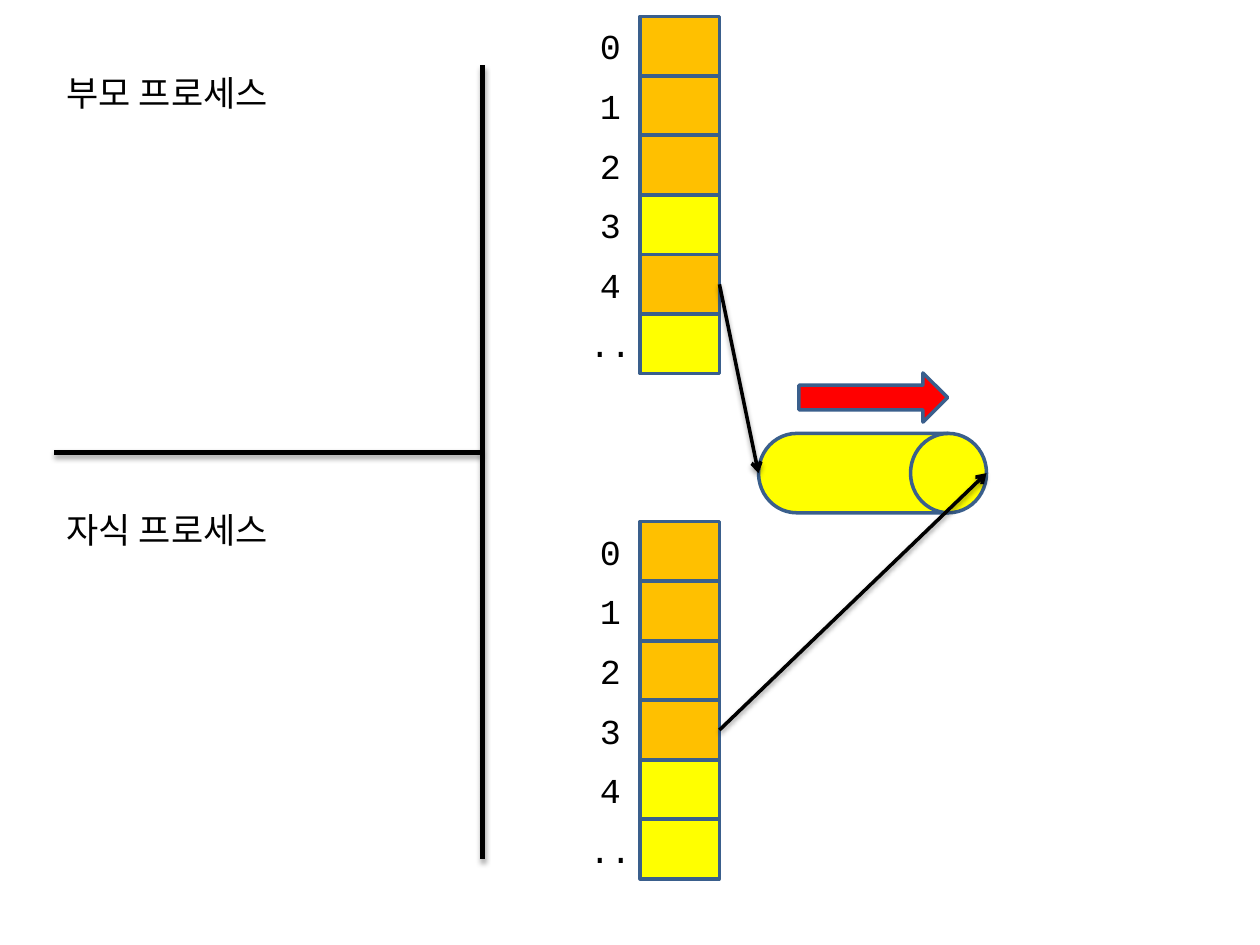
from lxml.etree import SubElement
from pptx import Presentation
from pptx.dml.color import RGBColor
from pptx.enum.shapes import MSO_CONNECTOR, MSO_SHAPE
from pptx.enum.text import MSO_ANCHOR, MSO_AUTO_SIZE, PP_ALIGN
from pptx.oxml.ns import qn
from pptx.util import Inches, Pt

ORANGE, YELLOW, RED = "FFC000", "FFFF00", "FF0000"
BLACK, OUTLINE = "000000", "3A5F8C"
FONT = "Courier New"

DESCRIPTORS = ["0", "1", "2", "3", "4", ".."]
PROCESSES = [
    {"title": "부모 프로세스", "title_top": 0.52, "table_top": 0.13,
     "open": {"0", "1", "2", "4"}, "pipe_end": "4"},
    {"title": "자식 프로세스", "title_top": 3.99, "table_top": 4.14,
     "open": {"0", "1", "2", "3"}, "pipe_end": "3"},
]
DIVIDERS = [((0.43, 3.59), (3.82, 3.59)), ((3.83, 0.52), (3.83, 6.82))]

TITLE_LEFT, TITLE_WIDTH, TITLE_HEIGHT = 0.43, 2.04, 0.44
LABEL_LEFT, CELL_LEFT = 4.53, 5.08
CELL_WIDTH, CELL_HEIGHT, CELL_STEP = 0.63, 0.47, 0.473
PIPE = (6.02, 3.44, 1.81, 0.63)
FLOW = (6.34, 2.96, 1.18, 0.39)


def color(value):
    return RGBColor.from_string(value)


def add_block(preset, box, fill):
    block = slide.shapes.add_shape(preset, *map(Inches, box))
    block.shadow.inherit = False
    block.fill.solid()
    block.fill.fore_color.rgb = color(fill)
    block.line.color.rgb = color(OUTLINE)
    block.line.width = Pt(2)
    return block


def add_text(text, box):
    label = slide.shapes.add_textbox(*map(Inches, box))
    paragraph = label.text_frame.paragraphs[0]
    paragraph.text = text
    paragraph.font.name = FONT
    paragraph.font.size = Pt(20)
    paragraph.font.color.rgb = color(BLACK)
    return label.text_frame


def add_line(start, end, width, opacity, distance):
    line = slide.shapes.add_connector(
        MSO_CONNECTOR.STRAIGHT, *map(Inches, (*start, *end)))
    line.line.color.rgb = color(BLACK)
    line.line.width = Pt(width)
    effects = SubElement(line._element.spPr, qn("a:effectLst"))
    shadow = SubElement(effects, qn("a:outerShdw"), blurRad=str(Pt(3.1)),
                        dist=str(Pt(distance)), dir="5400000", rotWithShape="0")
    shade = SubElement(shadow, qn("a:srgbClr"), val=BLACK)
    SubElement(shade, qn("a:alpha"), val=str(opacity * 1000))
    return line


def add_arrow(cell, start, end):
    arrow = add_line(start, end, 2, 38, 1.6)
    arrow.begin_connect(cell, 3)
    SubElement(arrow.line._get_or_add_ln(), qn("a:tailEnd"), type="arrow")


def add_descriptor_table(process):
    tops = [process["table_top"] + i * CELL_STEP for i in range(len(DESCRIPTORS))]
    for descriptor, top in zip(DESCRIPTORS, tops):
        frame = add_text(descriptor, (LABEL_LEFT, top, CELL_WIDTH, CELL_HEIGHT))
        frame.word_wrap = True
        frame.vertical_anchor = MSO_ANCHOR.MIDDLE
        frame.paragraphs[0].alignment = PP_ALIGN.CENTER
    return {
        descriptor: add_block(
            MSO_SHAPE.RECTANGLE, (CELL_LEFT, top, CELL_WIDTH, CELL_HEIGHT),
            ORANGE if descriptor in process["open"] else YELLOW)
        for descriptor, top in zip(DESCRIPTORS, tops)
    }


presentation = Presentation()
presentation.slide_width = Inches(10)
presentation.slide_height = Inches(7.5)
slide = presentation.slides.add_slide(presentation.slide_layouts[6])

for start, end in DIVIDERS:
    add_line(start, end, 3, 35, 1.8)

for process in PROCESSES:
    title = add_text(process["title"], (
        TITLE_LEFT, process["title_top"], TITLE_WIDTH, TITLE_HEIGHT))
    title.word_wrap = False
    title.auto_size = MSO_AUTO_SIZE.SHAPE_TO_FIT_TEXT

tables = [add_descriptor_table(process) for process in PROCESSES]
add_block(MSO_SHAPE.FLOWCHART_DIRECT_ACCESS_STORAGE, PIPE, YELLOW)
add_block(MSO_SHAPE.RIGHT_ARROW, FLOW, RED)

pipe_left, pipe_top, pipe_width, pipe_height = PIPE
pipe_ends = [pipe_left, pipe_left + pipe_width]
for process, cells, pipe_x in zip(PROCESSES, tables, pipe_ends):
    row = DESCRIPTORS.index(process["pipe_end"])
    cell_middle = process["table_top"] + row * CELL_STEP + CELL_HEIGHT / 2
    add_arrow(cells[process["pipe_end"]],
              (CELL_LEFT + CELL_WIDTH, cell_middle),
              (pipe_x, pipe_top + pipe_height / 2))

presentation.save("out.pptx")
